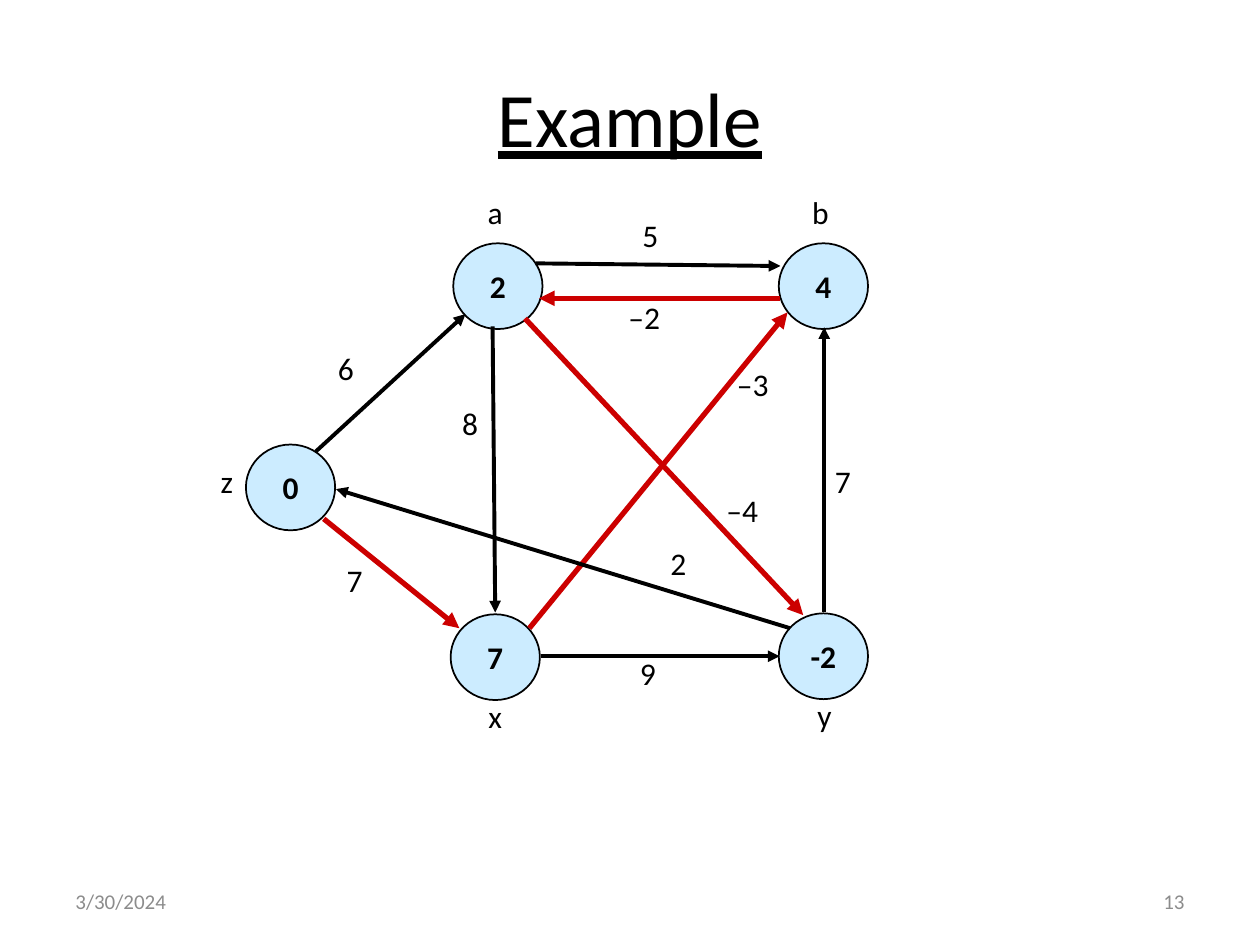
from pptx import Presentation
from pptx.util import Pt
from pptx.dml.color import RGBColor as Rgb
from pptx.enum.shapes import MSO_SHAPE as Shape, MSO_CONNECTOR as Conn
from pptx.enum.text import PP_ALIGN as Align, MSO_ANCHOR as Anchor
from lxml.etree import SubElement
from pptx.oxml.ns import qn

HUES = {"ink": "000000", "red": "CC0000", "node": "CCECFF", "gray": "8C8C8C"}


def hue(name):
    return Rgb.from_string(HUES[name])


def write(shape, text, size=18, tint="ink", align=Align.LEFT, anchor=Anchor.TOP, wrap=False):
    frame = shape.text_frame
    frame.word_wrap = wrap
    frame.vertical_anchor = anchor
    par = frame.paragraphs[0]
    par.text = text
    par.alignment = align
    par.font.name = "Calibri"
    par.font.size = Pt(size)
    par.font.color.rgb = hue(tint)
    return par.font


deck = Presentation()
deck.slide_width, deck.slide_height = Pt(720), Pt(540)
slide = deck.slides.add_slide(deck.slide_layouts[6])
shapes = slide.shapes

title = shapes.add_textbox(Pt(36), Pt(21.6), Pt(648), Pt(90))
write(title, "Example", 44, "ink", Align.CENTER, Anchor.MIDDLE, True).underline = True

nodes = [
    ("0", 140.5, 254),
    ("-2", 445, 350.5),
    ("7", 257.5, 351),
    ("4", 445, 139),
    ("2", 259, 139),
]
for text, x, y in nodes:
    node = shapes.add_shape(Shape.OVAL, Pt(x), Pt(y), Pt(51), Pt(49))
    node.shadow.inherit = False
    node.fill.solid()
    node.fill.fore_color.rgb = hue("node")
    node.line.color.rgb = hue("ink")
    node.line.width = Pt(1)
    write(node, text, align=Align.CENTER, anchor=Anchor.MIDDLE).bold = True

edges = [
    ("ink", 180.5, 258, 266, 179.5),
    ("red", 185, 296.5, 262.5, 359),
    ("ink", 281.5, 186.5, 283, 350),
    ("ink", 471, 349.5, 471, 187),
    ("ink", 309, 375, 445.5, 375),
    ("ink", 306, 150.5, 446, 152),
    ("red", 302.5, 359, 450, 178.5),
    ("ink", 451.5, 359, 192, 279.5),
    ("red", 446, 170.5, 308, 170.5),
    ("red", 300, 182, 459, 351.5),
]
for tint, *ends in edges:
    edge = shapes.add_connector(Conn.STRAIGHT, *map(Pt, ends))
    edge.line.color.rgb = hue(tint)
    edge.line.width = Pt(3 if tint == "red" else 2.25)
    SubElement(edge.line._get_or_add_ln(), qn("a:tailEnd"), type="triangle")
    SubElement(edge._element.spPr, qn("a:effectLst"))

labels = [
    ("z", 119, 260.5, 25),
    ("a", 271.5, 106.5, 23),
    ("b", 457, 106.5, 24.5),
    ("x", 272, 394.5, 26.5),
    ("y", 460, 394, 26.5),
    ("6", 186, 196, 26.5),
    ("5", 360, 120, 26.5),
    ("–3", 414, 205, 38),
    ("9", 358.5, 370, 26.5),
    ("7", 470, 260.5, 26.5),
    ("7", 191, 317, 26.5),
    ("8", 257, 227.5, 26.5),
    ("–2", 352, 166.5, 38),
    ("–4", 408, 277, 38),
    ("2", 376, 307.5, 26.5),
]
for text, x, y, wide in labels:
    write(shapes.add_textbox(Pt(x), Pt(y), Pt(wide), Pt(36)), text)

for text, x, align in [("3/30/2024", 36, Align.LEFT), ("13", 516, Align.RIGHT)]:
    foot = shapes.add_textbox(Pt(x), Pt(500.5), Pt(168), Pt(28.75))
    write(foot, text, 12, "gray", align, Anchor.MIDDLE, True)

deck.save("out.pptx")
